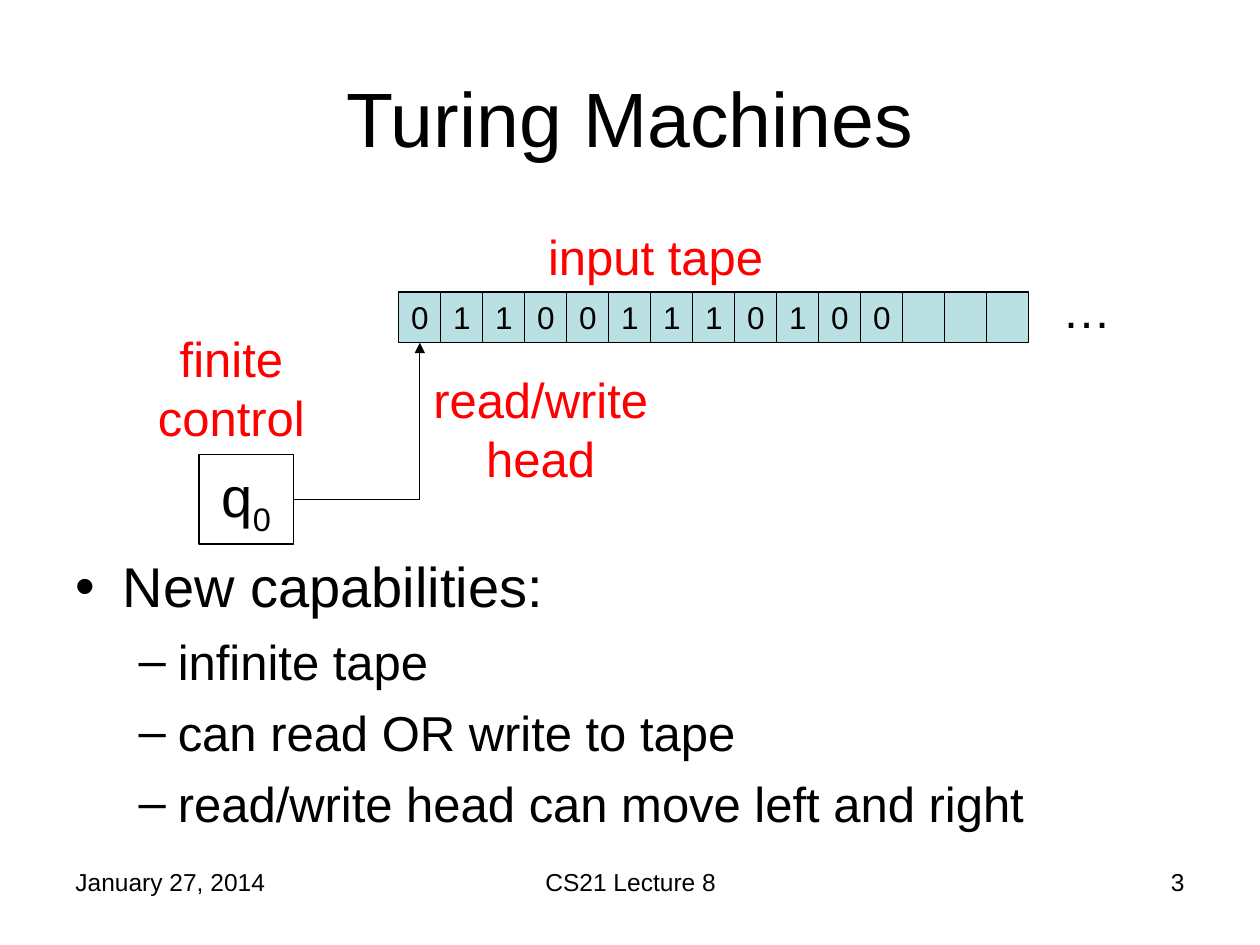
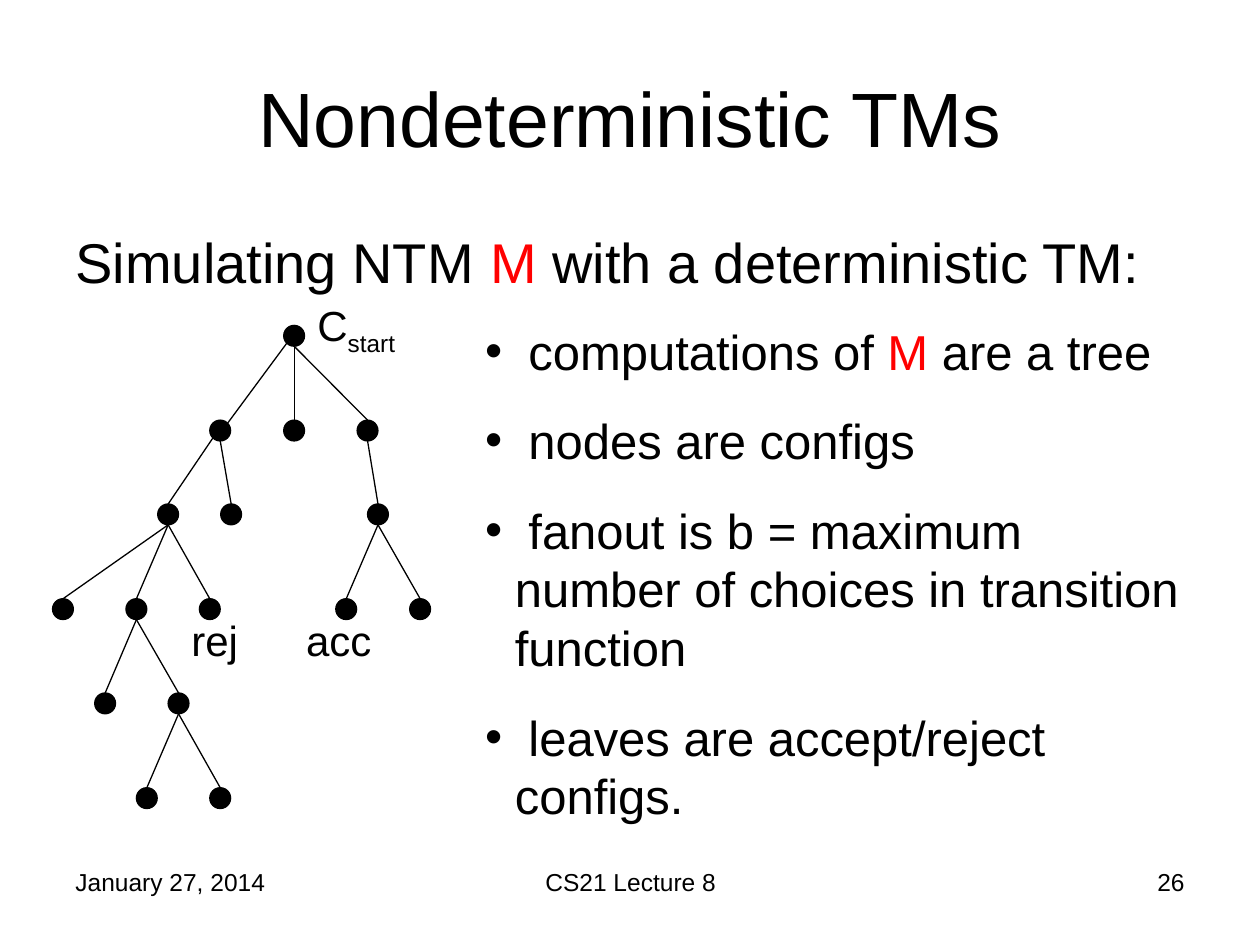
from lxml.etree import SubElement
from pptx import Presentation
from pptx.dml.color import RGBColor
from pptx.enum.shapes import MSO_CONNECTOR as Link, MSO_SHAPE as Shape
from pptx.enum.text import MSO_ANCHOR as Anchor, MSO_AUTO_SIZE as AutoSize, PP_ALIGN as Align
from pptx.oxml.ns import qn
from pptx.util import Cm, Pt

BLACK = RGBColor(0x00, 0x00, 0x00)
RED = RGBColor(0xFF, 0x00, 0x00)
TAPE_BLUE = RGBColor(0xBB, 0xE0, 0xE3)
FONT = "Arial"
LINE_WIDTH = Pt(0.75)

TITLE_AREA = (1.27, 0.76, 22.86, 3.18)
FOOTER_TOP, FOOTER_HEIGHT = 17.35, 1.32
DATE = "January 27, 2014"
COURSE = "CS21 Lecture 8"

TAPE = list("011001110100") + [""] * 3
TAPE_LEFT, TAPE_TOP, TAPE_WIDTH, TAPE_HEIGHT = 8.04, 5.89, 12.7, 1.02
CONTROL_AREA = (4.01, 9.17, 1.91, 1.8)
CONTROL_STATE = [("q", {}), ("0", {"subscript": True})]
MACHINE_LABELS = [
    ("input tape", (10.8, 4.45, 5.92, 1.45), RED, Align.LEFT),
    ("finite control", (2.34, 6.5, 4.65, 2.64), RED, Align.CENTER),
    ("read/write head", (8.26, 7.32, 5.28, 2.64), RED, Align.CENTER),
    ("…", (21.16, 5.51, 1.91, 1.45), BLACK, Align.LEFT),
]
CAPABILITIES_AREA = (1.27, 11, 22.86, 6.99)
CAPABILITIES = [
    (0, "New capabilities:"),
    (1, "infinite tape"),
    (1, "can read OR write to tape"),
    (1, "read/write head can move left and right"),
]
LIST_LEVELS = [
    {"size": 32, "before": 8, "bullet": "•", "margin": 0.95, "hanging": 0.95},
    {"size": 28, "before": 7, "bullet": "–", "margin": 2.06, "hanging": 0.79},
]

MACHINE_M = ("M", {"color": RED})
SIMULATION_AREA = (1.27, 4.45, 22.86, 1.7)
SIMULATION = [("Simulating NTM ", {}), MACHINE_M, (" with a deterministic TM:", {})]
FACTS_AREA = (9.53, 6.35, 14.6, 10.41)
FACTS = [
    [(" computations of ", {}), MACHINE_M, (" are a tree", {})],
    " nodes are configs",
    " fanout is b = maximum number of choices in transition function",
    " leaves are accept/reject configs.",
]
TREE_LABELS = [
    ([("C", {}), ("start", {"subscript": True})], (6.15, 5.92, 3.18, 1.42)),
    ("rej", (3.61, 12.27, 3.18, 1.27)),
    ("acc", (5.92, 12.27, 3.18, 1.27)),
]
# Each row: top, then (left, index of the parent in the row above)
TREE = [
    (6.56, [(5.72, None)]),
    (8.47, [(4.23, 0), (5.72, 0), (7.2, 0)]),
    (10.16, [(3.18, 0), (4.45, 0), (7.41, 2)]),
    (12.07, [(1.06, 0), (2.54, 0), (4.02, 0), (6.77, 2), (8.26, 2)]),
    (13.97, [(1.91, 1), (3.39, 1)]),
    (15.88, [(2.75, 1), (4.23, 1)]),
]
NODE_SIZE = 0.42
STRAIGHT_ENDS = ((0.5, 1), (0.5, 0))
SLANTED_ENDS = {
    (1, 0): ((0.15, 0.85), (0.85, 0.15)),
    (2, 0): ((0.15, 0.85), (0.5, 0)),
}


def write(frame, text, size=28, color=BLACK, align=Align.LEFT, before=0, level=0,
          bullet=None, margin=0, hanging=0):
    para = frame.paragraphs[-1]
    if para.runs:
        para = frame.add_paragraph()
        para.space_before = Pt(before)
    else:
        para.space_before = Pt(0)
    para.level = level
    para.alignment = align
    properties = para._p.get_or_add_pPr()
    properties.set("marL", str(Cm(margin)))
    properties.set("indent", str(-Cm(hanging)))
    if bullet:
        SubElement(properties, qn("a:buFont")).set("typeface", FONT)
        SubElement(properties, qn("a:buChar")).set("char", bullet)
    else:
        SubElement(properties, qn("a:buNone"))
    for words, style in [(text, {})] if isinstance(text, str) else text:
        span = para.add_run()
        span.text = words
        span.font.name = FONT
        span.font.size = Pt(size)
        span.font.color.rgb = style.get("color", color)
        if style.get("subscript"):
            span._r.get_or_add_rPr().set("baseline", "-25000")


def add_text(page, area, text, **style):
    box = page.shapes.add_textbox(*map(Cm, area))
    box.text_frame.word_wrap = True
    write(box.text_frame, text, **style)
    return box


def add_figure(page, kind, area, fill=None):
    figure = page.shapes.add_shape(kind, *map(Cm, area))
    figure.shadow.inherit = False
    if fill is None:
        figure.fill.background()
    else:
        figure.fill.solid()
        figure.fill.fore_color.rgb = fill
    figure.line.color.rgb = BLACK
    figure.line.width = LINE_WIDTH
    frame = figure.text_frame
    frame.vertical_anchor = Anchor.TOP
    frame.margin_left = frame.margin_right = 0
    return figure


def add_line(page, kind, start, end):
    line = page.shapes.add_connector(kind, *map(Cm, start + end))
    line.line.color.rgb = BLACK
    line.line.width = LINE_WIDTH
    SubElement(line._element.spPr, qn("a:effectLst"))
    return line


def place(placeholder, area, anchor):
    placeholder.left, placeholder.top, placeholder.width, placeholder.height = map(Cm, area)
    frame = placeholder.text_frame
    frame.auto_size = AutoSize.NONE
    frame.vertical_anchor = anchor
    return frame


def add_page(deck, title, number, body_area):
    page = deck.slides.add_slide(deck.slide_layouts[1])
    write(place(page.shapes.title, TITLE_AREA, Anchor.MIDDLE), title, size=44, align=Align.CENTER)
    footers = [(DATE, 1.27, 5.92, Align.LEFT), (COURSE, 8.69, 8.05, Align.CENTER),
               (str(number), 18.21, 5.92, Align.RIGHT)]
    for text, left, width, align in footers:
        add_text(page, (left, FOOTER_TOP, width, FOOTER_HEIGHT), text, size=14, align=align)
    return page, place(page.placeholders[1], body_area, Anchor.TOP)


def build_machine(deck):
    page, body = add_page(deck, "Turing Machines", 3, CAPABILITIES_AREA)
    for level, text in CAPABILITIES:
        write(body, text, level=level, **LIST_LEVELS[level])

    cell_width = TAPE_WIDTH / len(TAPE)
    cells = []
    for index, symbol in enumerate(TAPE):
        area = (TAPE_LEFT + index * cell_width, TAPE_TOP, cell_width, TAPE_HEIGHT)
        cell = add_figure(page, Shape.RECTANGLE, area, TAPE_BLUE)
        if symbol:
            write(cell.text_frame, symbol, size=18, align=Align.CENTER)
        cells.append(cell)

    control = add_figure(page, Shape.RECTANGLE, CONTROL_AREA)
    write(control.text_frame, CONTROL_STATE, size=32, align=Align.CENTER)
    for text, area, color, align in MACHINE_LABELS:
        add_text(page, area, text, color=color, align=align)

    head = add_line(page, Link.ELBOW, (5.92, 10.07), (8.46, 6.91))
    head._element.spPr.find(qn("a:prstGeom")).set("prst", "bentConnector2")
    head.begin_connect(control, 3)
    head.end_connect(cells[0], 2)
    SubElement(head.line._get_or_add_ln(), qn("a:tailEnd")).set("type", "triangle")


def build_tree(deck):
    page, body = add_page(deck, "Nondeterministic TMs", 26, SIMULATION_AREA)
    write(body, SIMULATION, size=32)
    facts = page.shapes.add_textbox(*map(Cm, FACTS_AREA)).text_frame
    facts.word_wrap = True
    for fact in FACTS:
        write(facts, fact, before=17.5, bullet="•", margin=0.6, hanging=0.6)
    for text, area in TREE_LABELS:
        add_text(page, area, text, size=24)

    for depth, (top, nodes) in enumerate(TREE):
        for index, (left, parent) in enumerate(nodes):
            add_figure(page, Shape.OVAL, (left, top, NODE_SIZE, NODE_SIZE), BLACK)
            if parent is None:
                continue
            parent_top, parents = TREE[depth - 1]
            corners = ((parents[parent][0], parent_top), (left, top))
            ends = SLANTED_ENDS.get((depth, index), STRAIGHT_ENDS)
            start, end = [(x + across * NODE_SIZE, y + down * NODE_SIZE)
                          for (x, y), (across, down) in zip(corners, ends)]
            add_line(page, Link.STRAIGHT, start, end)


def main():
    deck = Presentation()
    deck.slide_width, deck.slide_height = Cm(25.4), Cm(19.05)
    build_machine(deck)
    build_tree(deck)
    deck.save("out.pptx")


if __name__ == "__main__":
    main()
